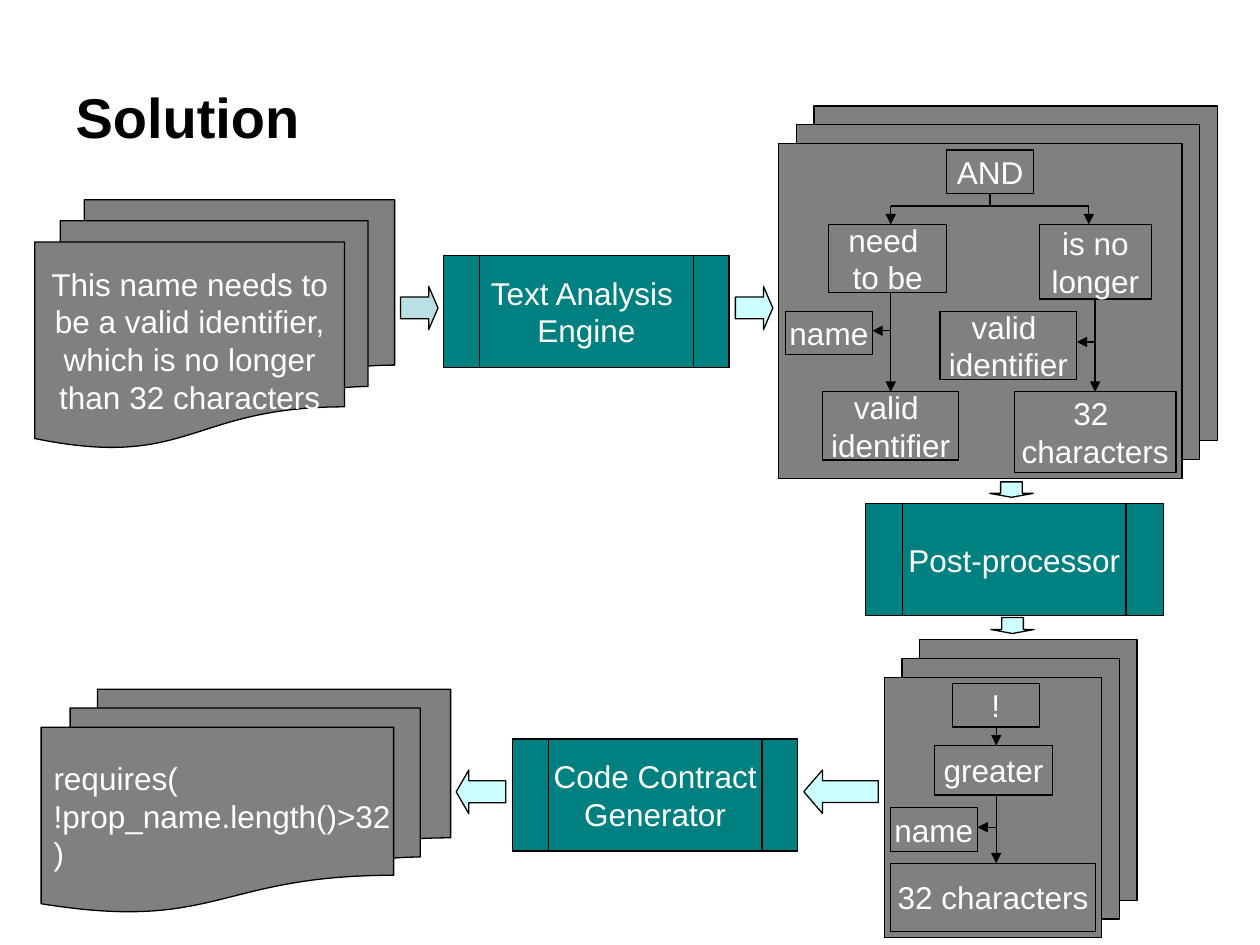
from lxml import etree
from pptx import Presentation
from pptx.dml.color import RGBColor
from pptx.enum.shapes import MSO_CONNECTOR, MSO_SHAPE
from pptx.enum.text import MSO_ANCHOR, PP_ALIGN
from pptx.oxml.ns import qn
from pptx.util import Pt

RECT, PROCESS = MSO_SHAPE.RECTANGLE, MSO_SHAPE.FLOWCHART_PROCESS
ENGINE = MSO_SHAPE.FLOWCHART_PREDEFINED_PROCESS
DOCUMENTS = MSO_SHAPE.FLOWCHART_MULTIDOCUMENT
RIGHT, LEFT, DOWN = MSO_SHAPE.RIGHT_ARROW, MSO_SHAPE.LEFT_ARROW, MSO_SHAPE.DOWN_ARROW
STRAIGHT, MIDDLE = MSO_CONNECTOR.STRAIGHT, MSO_ANCHOR.MIDDLE
ALIGN_LEFT, CENTER = PP_ALIGN.LEFT, PP_ALIGN.CENTER

THEME = {
    "font": "Arial", "title_size": 32, "body_size": 18, "line_width": 0.74,
    "ink": "000000", "paper": "FFFFFF", "gray": "808080", "teal": "008080",
    "pale": "CCFFFF", "mist": "BBE0E3",
}

TITLE = ("Solution", (36, 21.6, 648, 90))

CARD_STACKS = [
    ((505.4, 387, 124.2, 148.8), (10.1, -10.7)),
    ((445, 82.1, 230.4, 191.3), (10.1, -10.8)),
]

STEPS = [
    (DOCUMENTS, (19.9, 114.2, 205.6, 141.8), "gray",
     ["This name needs to", "be a valid identifier,", "which is no longer", "than 32 characters"]),
    (ENGINE, (253.6, 146, 163, 64), "teal", ["Text Analysis ", "Engine"]),
    (ENGINE, (494.6, 287.7, 170.2, 64), "teal", ["Post-processor"]),
    (ENGINE, (292.9, 422.3, 163, 64), "teal", ["Code Contract", "Generator"]),
    (DOCUMENTS, (23.5, 393.9, 234, 127.4), "gray",
     ["requires(", "!prop_name.length()>32", ")"], ALIGN_LEFT),
]

NODES = {
    "and": ((540.9, 85.7, 49.7, 24.8), ["AND"]),
    "need": ((473.5, 128.2, 67.5, 39), ["need ", "to be"]),
    "longer": ((594, 128.2, 64, 42.7), ["is no", "longer"]),
    "name": ((448.8, 177.9, 49.7, 24.7), ["name"]),
    "length": ((537.2, 177.9, 78.1, 38.9), ["valid ", "identifier"]),
    "limit": ((579.7, 223.9, 92.2, 46.1), ["32 ", "characters"]),
    "identifier": ((470, 223.9, 77.9, 39), ["valid ", "identifier"]),
    "not": ((544.2, 390.5, 49.7, 25), ["!"]),
    "greater": ((534, 426, 67.5, 28.4), ["greater"]),
    "subject": ((508.8, 461.5, 49.7, 25), ["name"]),
    "maximum": ((508.8, 493.3, 117.3, 39), ["32 characters"]),
}

BRANCHES = {"need": 509, "longer": 622.2}
BRANCH_ROOT, BRANCH_Y = 565.8, 117.8
LEAF_ENTRY = 0.45
TRUNKS = [
    (509, "need", "identifier", "name"),
    (625.8, "longer", "limit", "length"),
    (569.3, "not", "greater", None),
    (569.3, "greater", "maximum", "subject"),
]

FLOW_ARROWS = [
    (RIGHT, (228.9, 163.6, 21.4, 24.8), 0.25, "mist"),
    (RIGHT, (420.2, 163.6, 21.4, 24.8), 0.25, "pale"),
    (LEFT, (459.3, 440, 42.6, 24.8), 0.43, "pale"),
    (LEFT, (260.7, 440, 28.3, 25), 0.29, "pale"),
    (DOWN, (565.6, 275.4, 24.8, 8.8), 0.25, "pale"),
    (DOWN, (566.2, 352.8, 24.8, 9.2), 0.25, "pale"),
]


def color(name):
    return RGBColor.from_string(THEME[name])


def write(frame, lines, size, ink, align, bold=False):
    frame.text = "\n".join(lines)
    frame.vertical_anchor = MIDDLE
    font = {"name": THEME["font"], "size": Pt(THEME[size]), "bold": bold}
    for para in frame.paragraphs:
        para.alignment = align
        for span in para.runs:
            for key, value in font.items():
                setattr(span.font, key, value)
            span.font.color.rgb = color(ink)


def outline(line):
    line.color.rgb = color("ink")
    line.width = Pt(THEME["line_width"])


def add_box(kind, place, fill, lines=(), align=CENTER):
    box = page.shapes.add_shape(kind, *map(Pt, place))
    box.shadow.inherit = False
    box.fill.solid()
    box.fill.fore_color.rgb = color(fill)
    outline(box.line)
    if lines:
        write(box.text_frame, lines, "body_size", "paper", align)
        box.text_frame.word_wrap = False
    return box


def add_line(start, end, arrow=True):
    connector = page.shapes.add_connector(STRAIGHT, *map(Pt, (*start, *end)))
    outline(connector.line)
    if arrow:
        etree.SubElement(connector.get_or_add_ln(), qn("a:tailEnd"), type="triangle")
    etree.SubElement(connector._element.spPr, qn("a:effectLst"))


def top(node):
    return NODES[node][0][1]


def bottom(node):
    return top(node) + NODES[node][0][3]


deck = Presentation()
deck.slide_width, deck.slide_height = Pt(720), Pt(540)
page = deck.slides.add_slide(deck.slide_layouts[5])

for (left, upper, width, height), (step_x, step_y) in CARD_STACKS:
    for depth in (2, 1, 0):
        add_box(RECT, (left + depth * step_x, upper + depth * step_y, width, height), "gray")

title = page.shapes.title
words, place = TITLE
for side, value in zip(("left", "top", "width", "height"), place):
    setattr(title, side, Pt(value))
write(title.text_frame, [words], "title_size", "ink", ALIGN_LEFT, bold=True)

for step in STEPS:
    add_box(*step)
for place, lines in NODES.values():
    add_box(PROCESS, place, "gray", lines)

add_line((BRANCH_ROOT, bottom("and")), (BRANCH_ROOT, BRANCH_Y), arrow=False)
add_line((BRANCHES["need"], BRANCH_Y), (BRANCHES["longer"], BRANCH_Y), arrow=False)
for node, x in BRANCHES.items():
    add_line((x, BRANCH_Y), (x, top(node)))

for x, parent, child, leaf in TRUNKS:
    add_line((x, bottom(parent)), (x, top(child)))
    if leaf:
        left, upper, width, height = NODES[leaf][0]
        entry = upper + height * LEAF_ENTRY
        add_line((x, entry), (left + width, entry))

for kind, place, head, fill in FLOW_ARROWS:
    arrow = add_box(kind, place, fill)
    arrow.adjustments[0], arrow.adjustments[1] = 0.5, head

deck.save("out.pptx")
